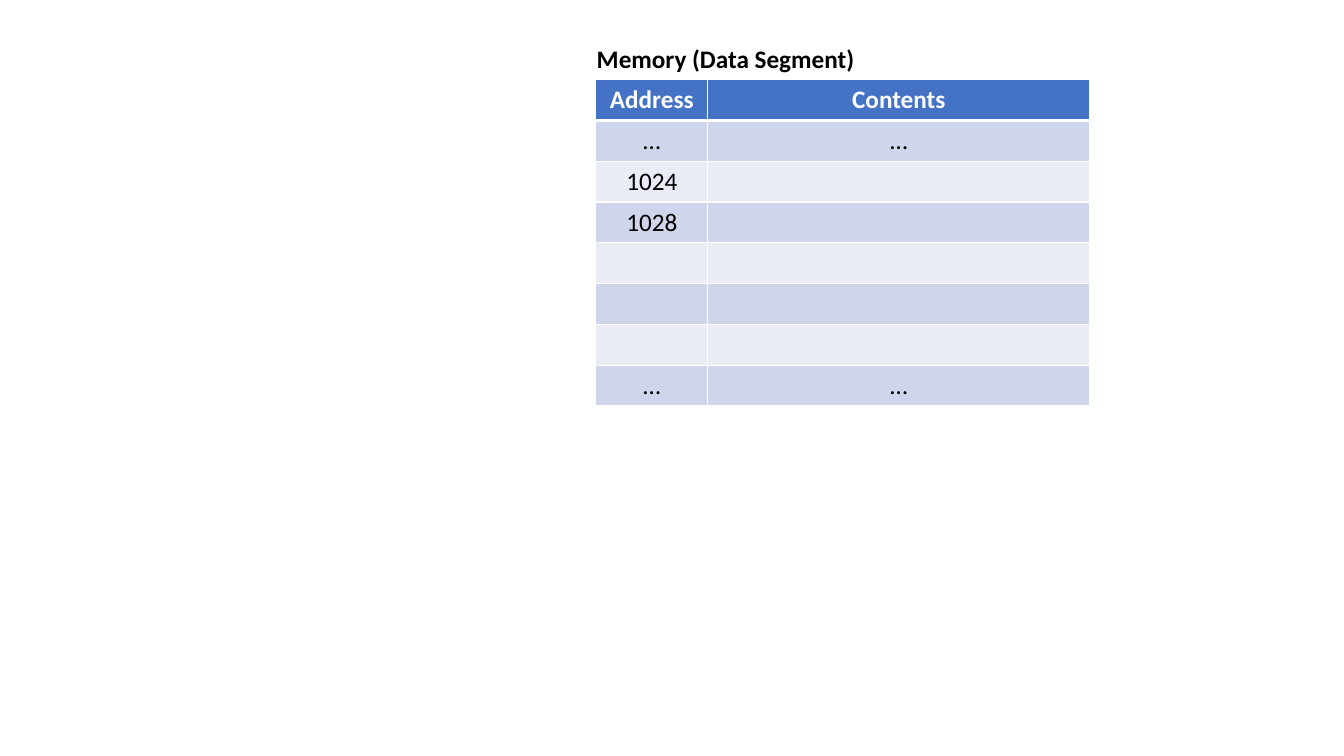
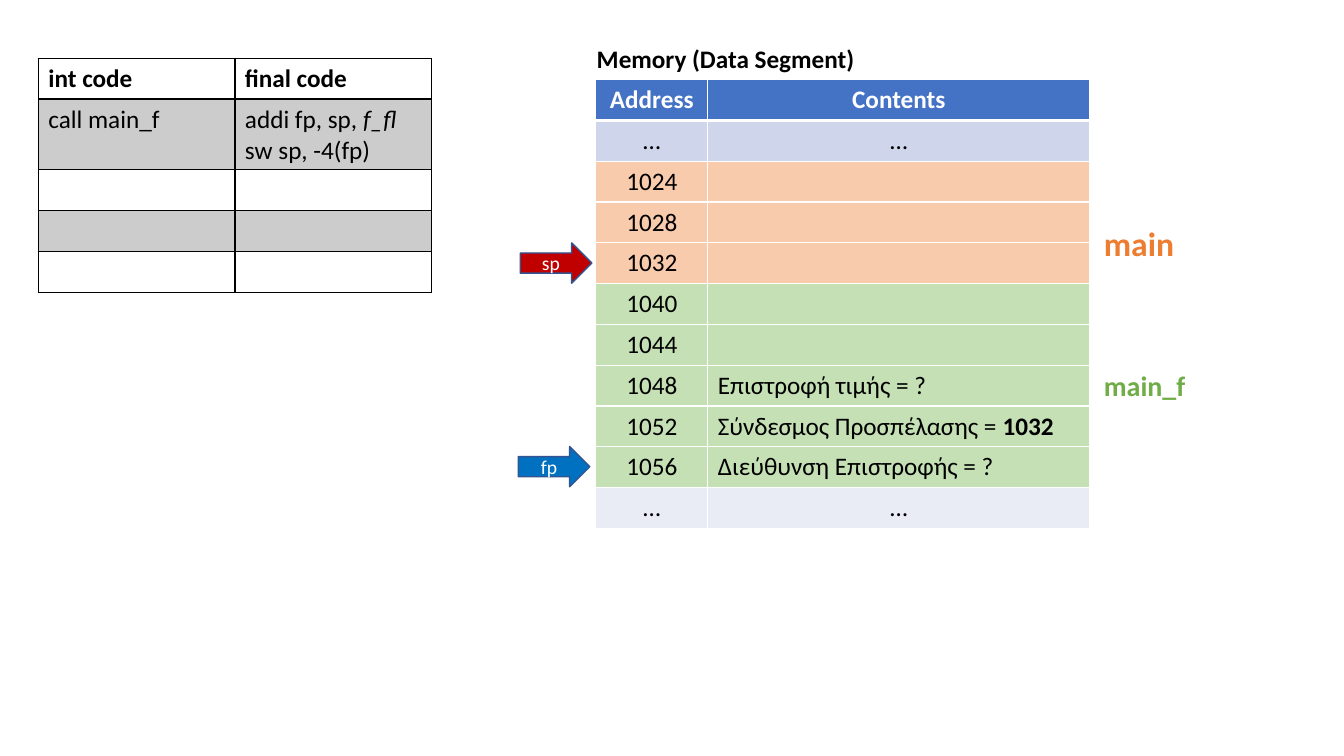
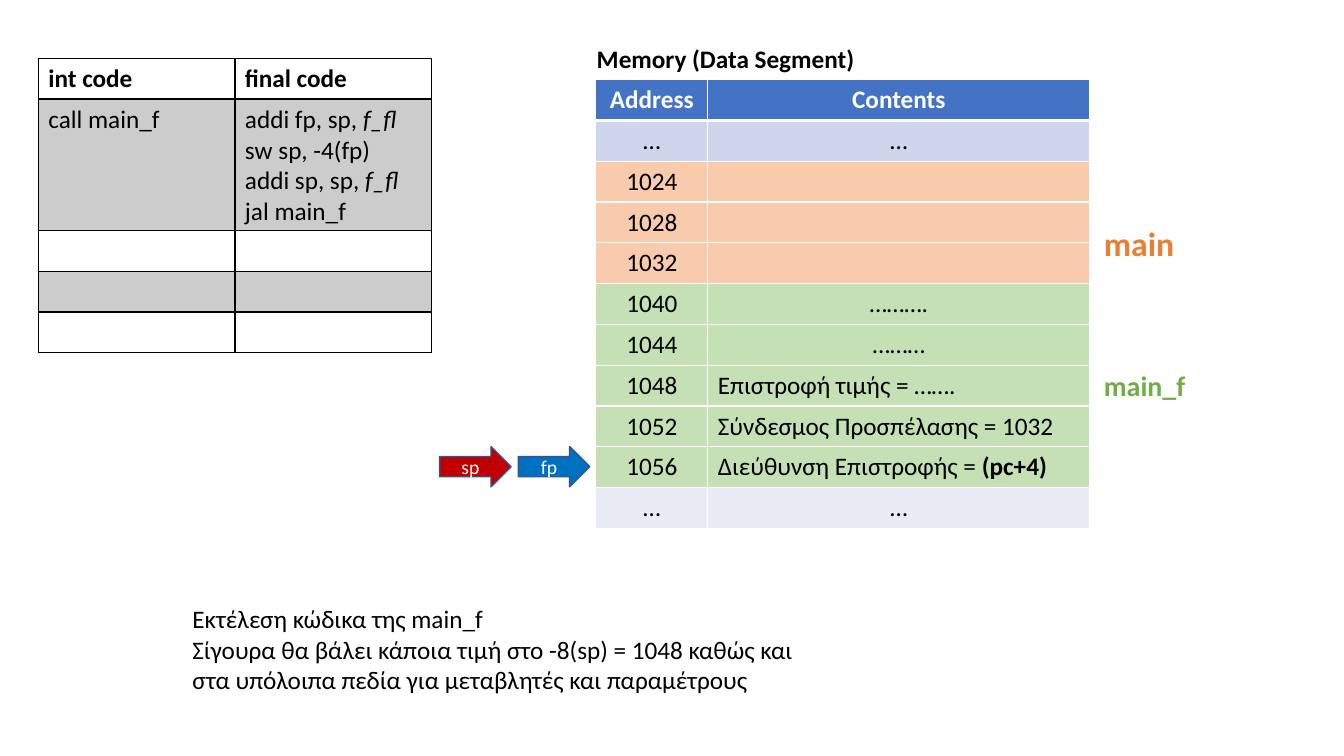
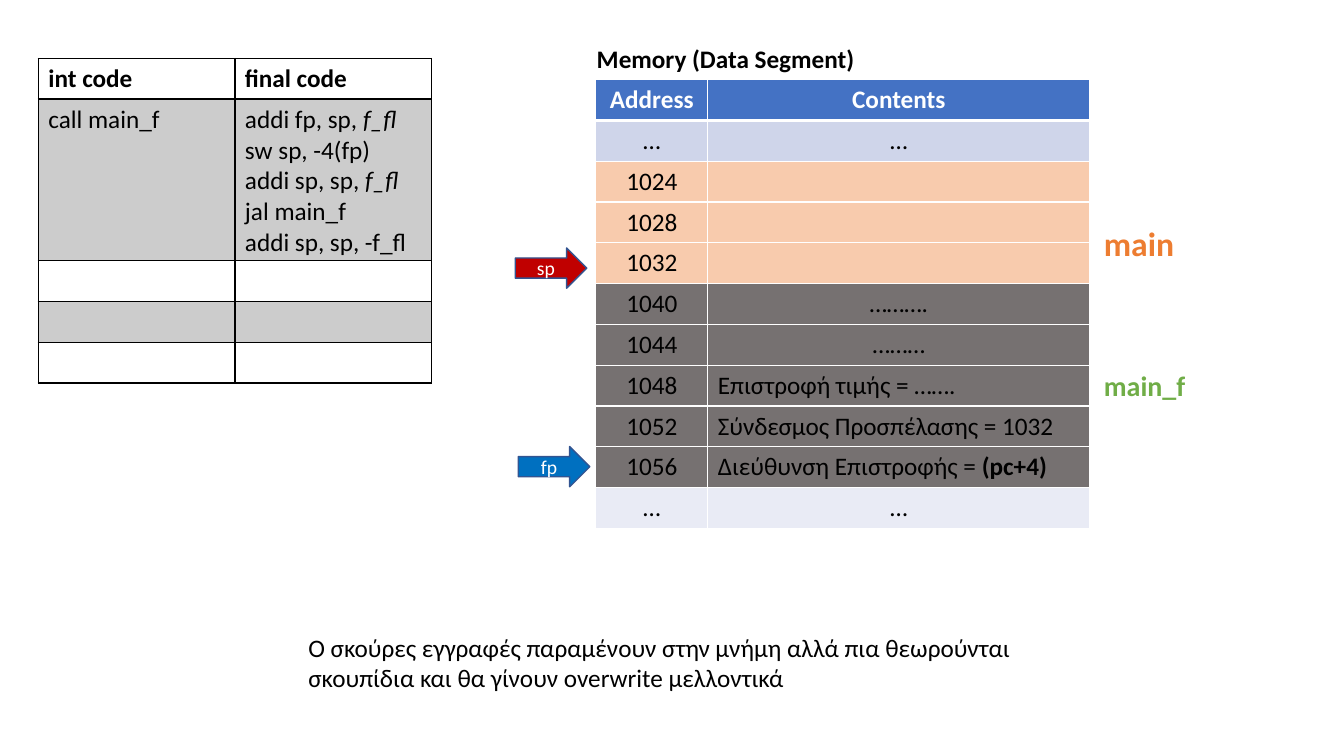
import pptx
import pptx.util
import pptx.dml.color
import pptx.enum.shapes
import pptx.enum.text
from lxml import etree
from pptx.oxml.ns import qn

Inches, Pt = pptx.util.Inches, pptx.util.Pt
ALIGN = pptx.enum.text.PP_ALIGN

# Shared style
FONT = "Calibri"
BLACK, WHITE = "000000", "FFFFFF"
HEADER, BANDS = "4472C4", ("E9EBF5", "CFD5EA")
MAIN_FILL, CALLEE_FILL, STALE_FILL = "F8CBAD", "C5E0B4", "767171"
MAIN_TEXT, CALLEE_TEXT = "ED7D31", "70AD47"
SP_FILL, FP_FILL, ARROW_LINE = "C00000", "0070C0", "325491"
ROW = 0.405
LINE = 0.3

# Content; a tuple is (plain text, emphasised tail)
DOTS = ("…", "…")
MAIN_ADDRESSES = ("1024", "1028", "1032")
CALLEE_ADDRESSES = ("1040", "1044", "1048", "1052", "1056")
BEFORE_JUMP = ("", "", "Επιστροφή τιμής = ?",
               ("Σύνδεσμος Προσπέλασης = ", "1032"), "Διεύθυνση Επιστροφής = ?")
AFTER_JUMP = ("……….", "………", "Επιστροφή τιμής = …….",
              "Σύνδεσμος Προσπέλασης = 1032", ("Διεύθυνση Επιστροφής = ", "(pc+4)"))
FINAL_CODE = [("addi fp, sp, ", "f_fl"), "sw sp, -4(fp)",
              ("addi sp, sp, ", "f_fl"), "jal main_f", "addi sp, sp, -f_fl"]


def rgb(color):
    return pptx.dml.color.RGBColor.from_string(color)


def paint(fill, color, alpha=None):
    fill.solid()
    fill.fore_color.rgb = rgb(color)
    return fill


# Text
def write(tf, paragraphs, size=18, color=BLACK, bold=False, align=ALIGN.LEFT, tail="bold"):
    for i, content in enumerate(paragraphs):
        p = tf.add_paragraph() if i else tf.paragraphs[0]
        p.alignment = align
        p.font.name, p.font.size, p.font.bold = FONT, Pt(size), bold
        p.font.color.rgb = rgb(color)
        parts = (content,) if isinstance(content, str) else content
        for j, text in enumerate(parts):
            r = p.add_run()
            r.text = text
            if j:
                setattr(r.font, tail, True)


def add_label(s, left, top, width, height, paragraphs, **style):
    tf = s.shapes.add_textbox(*map(Inches, (left, top, width, height))).text_frame
    tf.word_wrap = True
    write(tf, paragraphs, **style)


# Tables
def set_borders(cell, color, top, bottom):
    tcPr = cell._tc.get_or_add_tcPr()
    for tag, width in (("a:lnL", 1), ("a:lnR", 1), ("a:lnT", top), ("a:lnB", bottom)):
        ln = etree.SubElement(tcPr, qn(tag), w=str(Pt(width)))
        fill = etree.SubElement(ln, qn("a:solidFill"))
        etree.SubElement(fill, qn("a:srgbClr"), val=color)


def add_grid(s, left, top, widths, heights, border, header_rule):
    table = s.shapes.add_table(len(heights), len(widths), Inches(left), Inches(top),
                               Inches(sum(widths)), Inches(sum(heights))).table
    table.first_row = table.horz_banding = False
    for column, width in zip(table.columns, widths):
        column.width = Inches(width)
    for i, (row, height) in enumerate(zip(table.rows, heights)):
        row.height = Inches(height)
        for cell in row.cells:
            set_borders(cell, border, header_rule if i == 1 else 1, header_rule if i == 0 else 1)
    return table


def add_memory(s, rows):
    """Each row is (address, contents, fill); without a fill the bands alternate."""
    add_label(s, 5.82, 0.38, 3.09, 0.4, ["Memory (Data Segment)"], bold=True)
    rows = [("Address", "Contents", HEADER)] + rows
    table = add_grid(s, 5.91, 0.79, (1.11, 3.79), [ROW] * len(rows), WHITE, 3)
    for i, (address, contents, fill) in enumerate(rows):
        dots = isinstance(contents, str) and not contents.strip("….")
        style = dict(color=BLACK if i else WHITE, bold=i == 0)
        for j, content in enumerate((address, contents)):
            cell = table.cell(i, j)
            paint(cell.fill, fill or BANDS[i % 2])
            centred = i == 0 or j == 0 or dots
            write(cell.text_frame, [content], align=ALIGN.CENTER if centred else ALIGN.LEFT, **style)


def add_code(s, final_code):
    rows = [(["int code"], ["final code"]), (["call main_f"], final_code)] + [([""], [""])] * 3
    heights = [max(ROW, 0.1 + LINE * len(final)) for _, final in rows]
    table = add_grid(s, 0.38, 0.58, (1.95, 1.95), heights, BLACK, 2)
    for i, row in enumerate(rows):
        for j, lines in enumerate(row):
            cell = table.cell(i, j)
            if i % 2:
                paint(cell.fill, BLACK)
                color = cell._tc.tcPr.find(qn("a:solidFill")).find(qn("a:srgbClr"))
                etree.SubElement(color, qn("a:alpha"), val="20000")
            else:
                cell.fill.background()
            write(cell.text_frame, lines, bold=i == 0, tail="italic")


# Register pointers
def add_pointer(s, name, left, top, color):
    sp = s.shapes.add_shape(pptx.enum.shapes.MSO_SHAPE.RIGHT_ARROW,
                            *map(Inches, (left, top, 0.71, 0.4)))
    sp.shadow.inherit = False
    paint(sp.fill, color)
    sp.line.color.rgb = rgb(ARROW_LINE)
    sp.line.width = Pt(1)
    sp.text_frame.vertical_anchor = pptx.enum.text.MSO_ANCHOR.MIDDLE
    write(sp.text_frame, [name], size=14, color=WHITE, align=ALIGN.CENTER)


# Slides
def add_slide(prs):
    return prs.slides.add_slide(prs.slide_layouts[6])


def add_call_slide(prs, contents, callee_fill, code_lines, sp_at):
    s = add_slide(prs)
    add_memory(s, [(*DOTS, None)]
               + [(address, "", MAIN_FILL) for address in MAIN_ADDRESSES]
               + [(address, text, callee_fill) for address, text in zip(CALLEE_ADDRESSES, contents)]
               + [(*DOTS, None)])
    add_pointer(s, "sp", *sp_at, SP_FILL)
    add_label(s, 10.85, 2.16, 1.32, 0.5, ["main"], size=24, color=MAIN_TEXT, bold=True)
    add_label(s, 10.85, 3.61, 1.32, 0.44, ["main_f"], size=20, color=CALLEE_TEXT, bold=True)
    add_pointer(s, "fp", 5.14, 4.43, FP_FILL)
    add_code(s, FINAL_CODE[:code_lines])
    return s


def main():
    prs = pptx.Presentation()
    prs.slide_width, prs.slide_height = Inches(13.33), Inches(7.5)

    # Empty memory
    add_memory(add_slide(prs), [(*DOTS, None)]
               + [(address, "", None) for address in ("1024", "1028", "", "", "")]
               + [(*DOTS, None)])

    # Preparing the call
    add_call_slide(prs, BEFORE_JUMP, CALLEE_FILL, 2, (5.16, 2.41))

    # Running the function
    s = add_call_slide(prs, AFTER_JUMP, CALLEE_FILL, 4, (4.36, 4.43))
    add_label(s, 1.81, 5.94, 6.19, 1.01, [
        "Εκτέλεση κώδικα της main_f",
        "Σίγουρα θα βάλει κάποια τιμή στο -8(sp) = 1048 καθώς και "
        "στα υπόλοιπα πεδία για μεταβλητές και παραμέτρους"])

    # After the return
    s = add_call_slide(prs, AFTER_JUMP, STALE_FILL, 5, (5.11, 2.46))
    add_label(s, 2.96, 6.22, 7.27, 0.71, [
        "Ο σκούρες εγγραφές παραμένουν στην μνήμη αλλά πια θεωρούνται "
        "σκουπίδια και θα γίνουν overwrite μελλοντικά"])

    prs.save("out.pptx")


if __name__ == "__main__":
    main()
